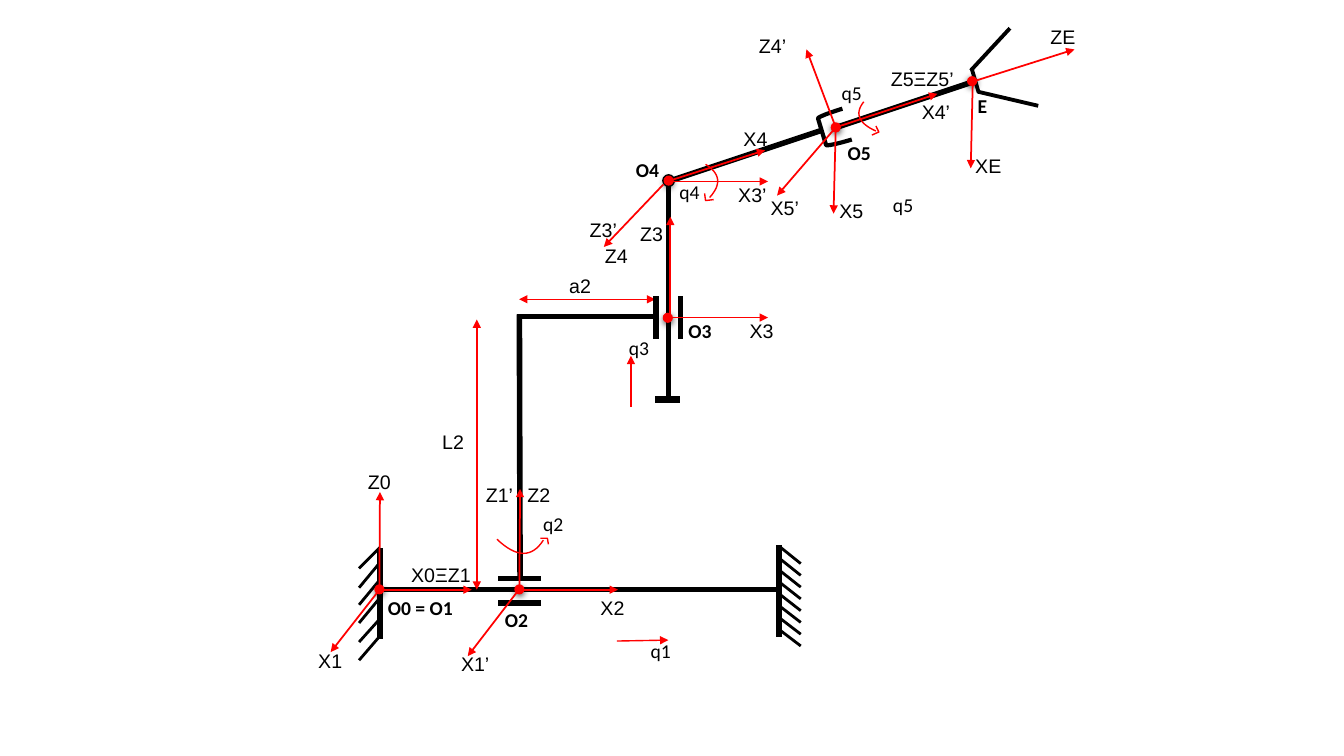
import pptx
import pptx.dml.color
import pptx.enum.shapes
import pptx.enum.text
import pptx.oxml
import pptx.oxml.ns
import pptx.util

Pt = pptx.util.Pt
SHAPES = pptx.enum.shapes.MSO_SHAPE
ALIGN = pptx.enum.text.PP_ALIGN
BLACK, RED = "000000", "FF0000"
NS = pptx.oxml.ns.nsdecls("a")


def colour(value):
    return pptx.dml.color.RGBColor.from_string(value)


def style_line(shape, line_colour, width):
    shape.line.color.rgb = colour(line_colour)
    shape.line.width = Pt(width)


def segment(slide, joint, start, end, width=4, line_colour=BLACK, ends=()):
    """Straight line between two offsets from a joint, with optional arrowheads."""
    (x, y), (x1, y1), (x2, y2) = joint, start, end
    link = slide.shapes.add_connector(
        pptx.enum.shapes.MSO_CONNECTOR.STRAIGHT,
        Pt(x + x1), Pt(y + y1), Pt(x + x2), Pt(y + y2))
    style_line(link, line_colour, width)
    properties = link._element.spPr
    outline = properties.find(pptx.oxml.ns.qn("a:ln"))
    for end_name in ends:
        outline.append(pptx.oxml.parse_xml(f'<a:{end_name} {NS} type="triangle"/>'))
    properties.append(pptx.oxml.parse_xml(f"<a:effectLst {NS}/>"))


def axis(slide, joint, start, end, width=1.25):
    segment(slide, joint, start, end, width, RED, ["tailEnd"])


def dimension(slide, joint, start, end):
    segment(slide, joint, start, end, 1, RED, ["headEnd", "tailEnd"])


def disc(slide, joint, size, fill, width):
    x, y = joint
    circle = slide.shapes.add_shape(
        SHAPES.OVAL, Pt(x - size / 2), Pt(y - size / 2), Pt(size), Pt(size))
    circle.fill.solid()
    circle.fill.fore_color.rgb = colour(fill)
    style_line(circle, fill, width)
    circle.shadow.inherit = False
    return circle


def joint_dot(slide, joint):
    dot = disc(slide, joint, 6.5, RED, 0.75)
    effects = dot._element.spPr.find(pptx.oxml.ns.qn("a:effectLst"))
    effects.append(pptx.oxml.parse_xml(
        f'<a:outerShdw {NS} blurRad="57150" dist="19050" dir="5400000" rotWithShape="0">'
        '<a:srgbClr val="000000"><a:alpha val="63000"/></a:srgbClr></a:outerShdw>'))


def stroke(slide, joint, points):
    x, y = joint
    (first_x, first_y), *rest = [(Pt(x + dx), Pt(y + dy)) for dx, dy in points]
    builder = slide.shapes.build_freeform(first_x, first_y)
    builder.add_line_segments(rest, close=False)
    outline = builder.convert_to_shape()
    outline.fill.background()
    style_line(outline, RED, 1)
    outline.shadow.inherit = False


def rotation(slide, joint, start, middle, end, tip):
    """Curve through three offsets, ended by an open arrow tip."""
    control = [2 * m - (s + e) / 2 for s, m, e in zip(start, middle, end)]
    steps = [i / 16 for i in range(17)]
    stroke(slide, joint, [
        [(1 - t) ** 2 * s + 2 * t * (1 - t) * c + t * t * e
         for s, c, e in zip(start, control, end)] for t in steps])
    stroke(slide, joint, tip)


def label(slide, joint, text, x, y, width=35.3, font="Arial", bold=False,
          align=ALIGN.CENTER, line_spacing=1.0, space_after=0):
    frame = slide.shapes.add_textbox(
        Pt(joint[0] + x), Pt(joint[1] + y), Pt(width), Pt(24.3)).text_frame
    frame.word_wrap = True
    frame.auto_size = pptx.enum.text.MSO_AUTO_SIZE.SHAPE_TO_FIT_TEXT
    paragraph = frame.paragraphs[0]
    paragraph.alignment = align
    paragraph.line_spacing = line_spacing
    paragraph.space_after = Pt(space_after)
    run = paragraph.add_run()
    run.text = text
    run.font.name, run.font.size, run.font.bold = font, Pt(14), bold
    run.font.color.rgb = colour(BLACK)


def joint_name(slide, joint, text, x, y, width=35.3):
    label(slide, joint, text, x, y, width, font="Calibri", bold=True,
          align=ALIGN.LEFT, line_spacing=1.07, space_after=8)


def variable(slide, joint, text, x, y, width):
    label(slide, joint, text, x, y, width, font="Calibri")


def axis_labels(slide, joint, places):
    for text, x, y in places:
        label(slide, joint, text, x, y)


def wall(slide, joint, x, top, bottom, hatch_end, hatches):
    segment(slide, joint, (x, top), (x, bottom))
    for start, end in hatches:
        segment(slide, joint, (x, start), (hatch_end, end), 2)


def base(slide, joint):
    wall(slide, joint, 0.4, -29.3, 35.5, -14.5,
         [(-30, -15), (-19.2, -1.2), (-7, 11), (6, 24), (21, 37.6), (33.3, 50.6)])
    wall(slide, joint, 285.6, -31.5, 34, 301,
         [(-30.8 + 8.5 * i, -18.4 + 8.4 * i) for i in range(8)])
    segment(slide, joint, (284, 0.2), (0.4, 0.2))
    joint_dot(slide, joint)
    axis(slide, joint, (0, 0), (0.4, -69.6))
    axis(slide, joint, (0, 0.2), (66, 0.2))
    axis(slide, joint, (1.2, -1.2), (-34.8, 44.8))
    axis(slide, joint, (169.6, 36.9), (206.4, 36.2), 1)
    axis_labels(slide, joint, [("Z0", -17.6, -89.1), ("X1", -52.8, 39.1)])
    label(slide, joint, "X0ΞZ1", 13.4, -22.8, 61.2)
    joint_name(slide, joint, "O0 = O1", -1, 0.2, 64)
    variable(slide, joint, "q1", 179.7, 31.9, 42.5)


def carriage(slide, joint):
    for y in (-7.7, 9.6):
        segment(slide, joint, (15.6, y), (-15.3, y))
    segment(slide, joint, (0, -196.4), (0.5, -7))
    segment(slide, joint, (99.9, -194.9), (-1.6, -194.9))
    joint_dot(slide, joint)
    axis(slide, joint, (0, -1.2), (0.5, -71.8))
    axis(slide, joint, (-0.9, 0.2), (70.4, 0.2))
    axis(slide, joint, (-0.9, 0.9), (-36.9, 47.7))
    dimension(slide, joint, (-30.4, -192.8), (-30.4, 0.2))
    dimension(slide, joint, (-0.2, -207.2), (97, -207.2))
    rotation(slide, joint, (-16, -35.8), (2.7, -25.7), (17.1, -35.1),
             [(14.9, -36.5), (20, -36.5), (20.7, -32.2)])
    axis_labels(slide, joint, [
        ("L2", -65, -117.2), ("a2", 25.7, -228.8), ("Z1’", -31.9, -79.7),
        ("Z2", -3.8, -79.7), ("X1’", -49.2, 41.2), ("X2", 48.8, 0.9)])
    joint_name(slide, joint, "O2", -17.5, 8.8)
    variable(slide, joint, "q2", 8.4, -58.8, 31.7)


def slider(slide, joint):
    for x in (-8.3, 9):
        segment(slide, joint, (x, -15.3), (x, 14.9))
    segment(slide, joint, (0.4, -98.8), (0.4, 58.1))
    segment(slide, joint, (-9, 58.1), (9, 58.1), 5)
    joint_dot(slide, joint)
    axis(slide, joint, (1.8, -1.6), (1.8, -72.2))
    axis(slide, joint, (1.1, -0.2), (71.6, -0.2))
    axis(slide, joint, (-26.3, 63.9), (-26.3, 27.2), 1)
    axis_labels(slide, joint, [("Z3", -29.2, -72.2), ("X3", 49.3, -2.4)])
    joint_name(slide, joint, "O3", 7.6, -3.8, 32.4)
    variable(slide, joint, "q3", -36.4, 9.2, 31.7)


def elbow(slide, joint):
    disc(slide, joint, 7.2, BLACK, 2)
    segment(slide, joint, (109.9, -36.1), (-0.2, 0.6))
    joint_dot(slide, joint)
    axis(slide, joint, (-3.1, 1.3), (68.9, -21.7))
    axis(slide, joint, (0, 0.6), (71, 0.6))
    axis(slide, joint, (-3.8, 2.8), (-46.3, 47.4))
    rotation(slide, joint, (26.4, -11.6), (35, -0.8), (29.3, 12.1),
             [(25.7, 9.2), (26.4, 14.3), (32.2, 13.6)])
    axis_labels(slide, joint, [
        ("Z4", -55, 41.6), ("X3’", 42.2, -1.6), ("X4", 44.4, -41.9), ("Z3’", -64.3, 22.9)])
    joint_name(slide, joint, "O4", -30.5, -21, 38.2)
    variable(slide, joint, "q4", -3.8, -3.7, 37.4)


def wrist(slide, joint):
    x, y = joint
    fork = slide.shapes.add_shape(
        SHAPES.LEFT_BRACKET, Pt(x - 10.2), Pt(y - 11.1), Pt(18.7), Pt(23))
    fork.rotation = 343.1
    fork.fill.background()
    style_line(fork, BLACK, 3)
    fork.shadow.inherit = False
    segment(slide, joint, (98.5, -32.7), (-0.8, 0.4))
    joint_dot(slide, joint)
    for end in ((72.6, -24), (-1.6, 61.6), (-21, -55.7), (-41.9, 48.7)):
        axis(slide, joint, (0, 0), end)
    rotation(slide, joint, (20, -18.3), (17.2, -6.8), (28.7, 2.6),
             [(28.7, -1), (30.8, 3.3), (25.8, 5.5)])
    axis_labels(slide, joint, [
        ("X4’", 53.9, -23.3), ("X5", -6.6, 47.2), ("Z4’", -62.8, -70.1), ("X5’", -54.1, 45.1)])
    label(slide, joint, "Z5ΞZ5’", 25.1, -47.1, 73.4)
    joint_name(slide, joint, "O5", 1.3, 4.8, 32.4)
    variable(slide, joint, "q5", -7.3, -37, 37.4)
    variable(slide, joint, "q5", 30.8, 42.9, 34.6)


def gripper(slide, joint):
    for start, end in (((-0.3, -9), (4.7, 8.2)), ((4, 7.5), (47.2, 17.6)),
                       ((-1, -7.6), (27, -37.8))):
        segment(slide, joint, start, end, 2.75)
    joint_dot(slide, joint)
    axis(slide, joint, (0.4, 0.3), (73.1, -22.7))
    axis(slide, joint, (0.4, 1.8), (-1, 62.2))
    axis_labels(slide, joint, [("ZE", 47.2, -43.6), ("XE", -6.1, 48.6)])
    joint_name(slide, joint, "E", -3.2, 4.6)


def main():
    deck = pptx.Presentation()
    deck.slide_width, deck.slide_height = Pt(960), Pt(540)
    slide = deck.slides.add_slide(deck.slide_layouts[6])
    base(slide, (271, 421))
    carriage(slide, (371, 421))
    slider(slide, (477, 227))
    elbow(slide, (477.6, 129))
    wrist(slide, (597, 91))
    gripper(slide, (694.4, 58))
    deck.save("out.pptx")


if __name__ == "__main__":
    main()
